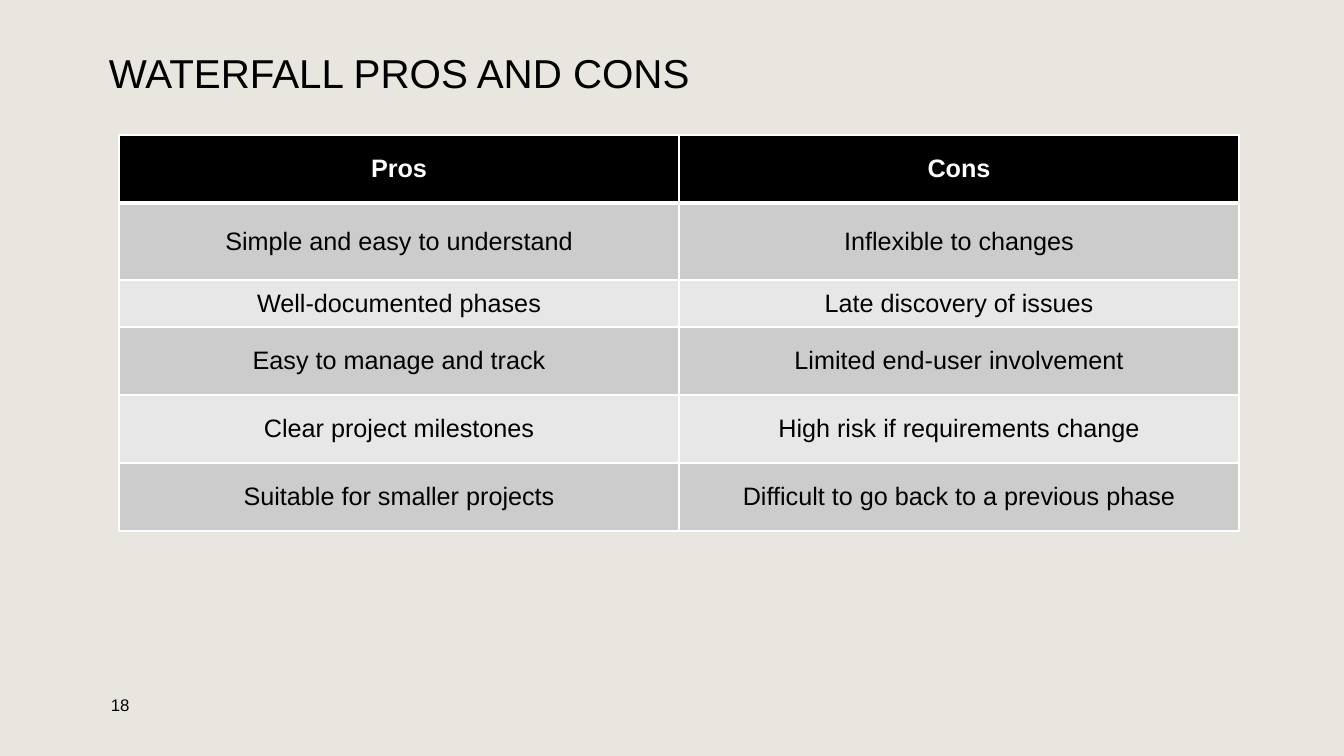
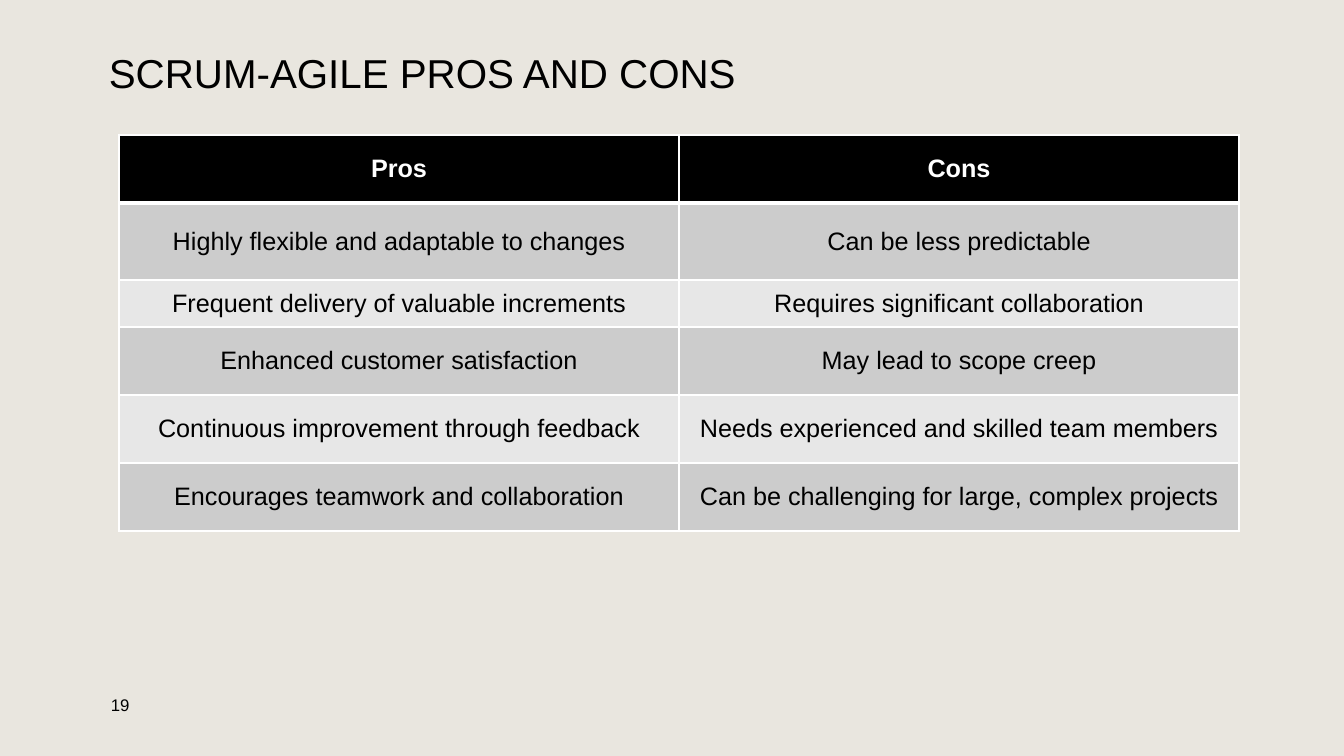
from dataclasses import dataclass

from lxml import etree
from pptx import Presentation
from pptx.dml.color import RGBColor
from pptx.enum.text import MSO_ANCHOR, PP_ALIGN
from pptx.oxml.ns import qn
from pptx.util import Emu, Pt

MIDDLE = MSO_ANCHOR.MIDDLE
LEFT = PP_ALIGN.LEFT
CENTER = PP_ALIGN.CENTER
SLIDE_W, SLIDE_H = 1344, 756
EMU_PER_PX = 12192000 / SLIDE_W


@dataclass(frozen=True)
class Theme:
    font: str = "Arial"
    background: str = "E9E6DF"
    ink: str = "000000"
    white: str = "FFFFFF"
    bands: tuple[str, str] = ("CCCCCC", "E7E7E7")
    title_size: float = 28.8
    table_size: float = 18
    number_size: float = 12
    rule: float = 1
    header_rule: float = 3


@dataclass(frozen=True)
class Box:
    x: int
    y: int
    w: int
    h: int


@dataclass(frozen=True)
class Comparison:
    title: str
    number: int
    rows: tuple[tuple[str, str], ...]


THEME = Theme()
TITLE_BOX = Box(99, 47, 1050, 56)
NUMBER_BOX = Box(101, 689, 70, 32)
TABLE_X, TABLE_Y = 119, 135
COLUMN_WIDTHS = (560, 560)
ROW_HEIGHTS = (68, 77, 47, 68, 68, 68)
HEADER = ("Pros", "Cons")

COMPARISONS = (
    Comparison("WATERFALL PROS AND CONS", 18, (
        ("Simple and easy to understand", "Inflexible to changes"),
        ("Well-documented phases", "Late discovery of issues"),
        ("Easy to manage and track", "Limited end-user involvement"),
        ("Clear project milestones", "High risk if requirements change"),
        ("Suitable for smaller projects", "Difficult to go back to a previous phase"),
    )),
    Comparison("SCRUM-AGILE PROS AND CONS", 19, (
        ("Highly flexible and adaptable to changes", "Can be less predictable"),
        ("Frequent delivery of valuable increments", "Requires significant collaboration"),
        ("Enhanced customer satisfaction", "May lead to scope creep"),
        ("Continuous improvement through feedback", "Needs experienced and skilled team members"),
        ("Encourages teamwork and collaboration", "Can be challenging for large, complex projects"),
    )),
)


def px(n: int) -> Emu:
    return Emu(round(n * EMU_PER_PX))


def write(tf, text: str, size: float, color: str, align=LEFT, bold: bool = False) -> None:
    p = tf.paragraphs[0]
    p.text = text
    p.alignment = align
    p.font.name = THEME.font
    p.font.size = Pt(size)
    p.font.bold = bold
    p.font.color.rgb = RGBColor.from_string(color)


def add_text(slide, box: Box, text: str, size: float, spacing: float = 1.0) -> None:
    sp = slide.shapes.add_textbox(px(box.x), px(box.y), px(box.w), px(box.h))
    tf = sp.text_frame
    tf.word_wrap = True
    tf.vertical_anchor = MIDDLE
    write(tf, text, size, THEME.ink)
    tf.paragraphs[0].line_spacing = spacing


def add_borders(cell, top: float, bottom: float) -> None:
    tc_pr = cell._tc.get_or_add_tcPr()
    widths = {"a:lnL": THEME.rule, "a:lnR": THEME.rule, "a:lnT": top, "a:lnB": bottom}
    for tag, width in widths.items():
        ln = etree.SubElement(tc_pr, qn(tag), w=str(Pt(width)))
        fill = etree.SubElement(ln, qn("a:solidFill"))
        etree.SubElement(fill, qn("a:srgbClr"), val=THEME.white)


def style_cell(cell, text: str, row: int) -> None:
    is_header = row == 0
    add_borders(
        cell,
        top=THEME.header_rule if row == 1 else THEME.rule,
        bottom=THEME.header_rule if is_header else THEME.rule,
    )
    cell.fill.solid()
    fill = THEME.ink if is_header else THEME.bands[(row - 1) % 2]
    cell.fill.fore_color.rgb = RGBColor.from_string(fill)
    cell.vertical_anchor = MIDDLE
    color = THEME.white if is_header else THEME.ink
    write(cell.text_frame, text, THEME.table_size, color, CENTER, is_header)


def add_comparison_table(slide, rows: tuple[tuple[str, str], ...]) -> None:
    frame = slide.shapes.add_table(
        len(ROW_HEIGHTS), len(COLUMN_WIDTHS), px(TABLE_X), px(TABLE_Y),
        px(sum(COLUMN_WIDTHS)), px(sum(ROW_HEIGHTS)),
    )
    table = frame.table
    table.horz_banding = False
    for column, width in zip(table.columns, COLUMN_WIDTHS):
        column.width = px(width)
    for i, (height, texts) in enumerate(zip(ROW_HEIGHTS, (HEADER, *rows))):
        table.rows[i].height = px(height)
        for j, text in enumerate(texts):
            style_cell(table.cell(i, j), text, i)


def add_comparison_slide(prs, comparison: Comparison) -> None:
    slide = prs.slides.add_slide(prs.slide_layouts[6])
    bg = slide.background.fill
    bg.solid()
    bg.fore_color.rgb = RGBColor.from_string(THEME.background)
    add_text(slide, TITLE_BOX, comparison.title, THEME.title_size, 0.9)
    add_text(slide, NUMBER_BOX, str(comparison.number), THEME.number_size)
    add_comparison_table(slide, comparison.rows)


def main() -> None:
    prs = Presentation()
    prs.slide_width, prs.slide_height = px(SLIDE_W), px(SLIDE_H)
    for comparison in COMPARISONS:
        add_comparison_slide(prs, comparison)
    prs.save("out.pptx")


if __name__ == "__main__":
    main()
